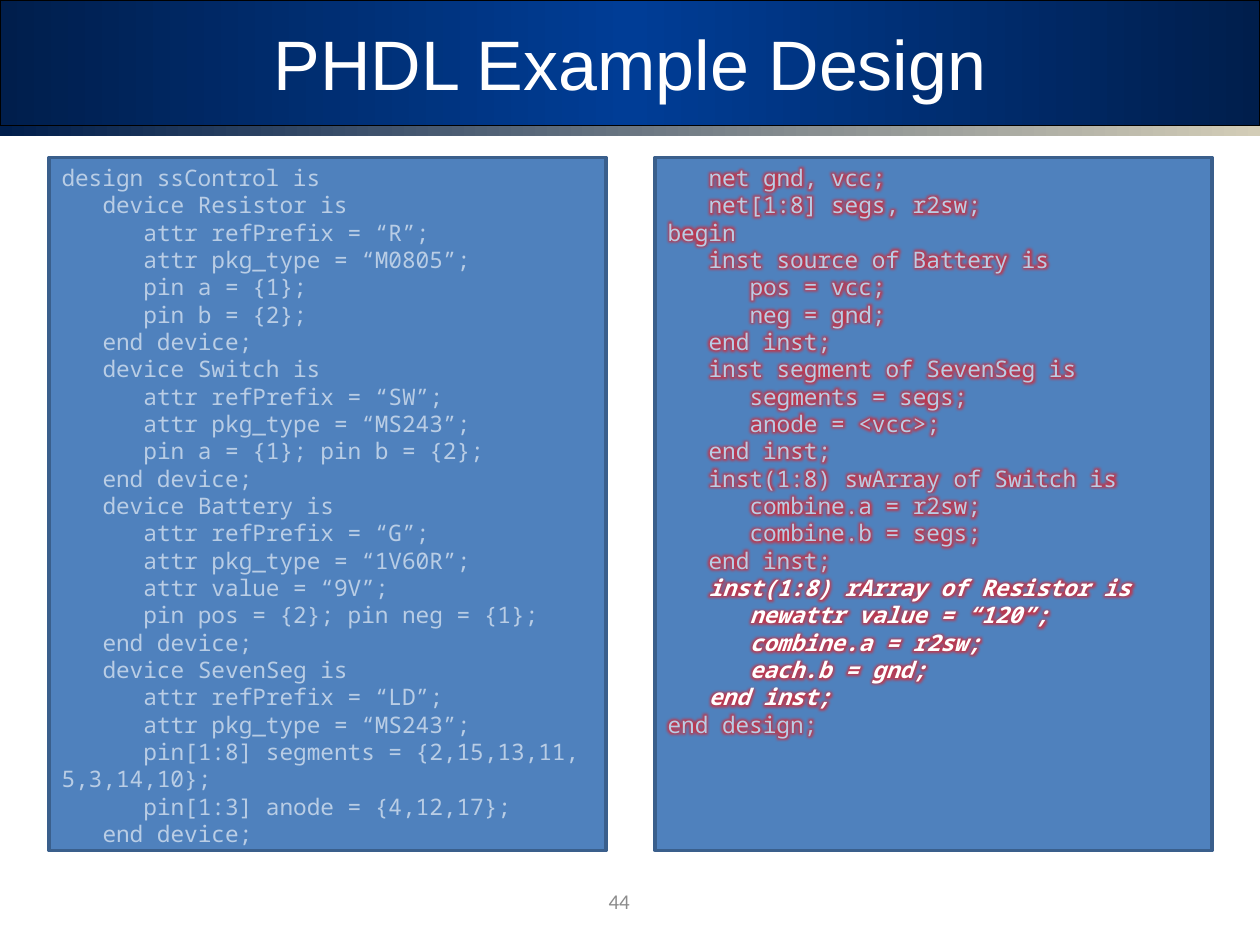
from lxml.etree import SubElement as Sub
from pptx import Presentation
from pptx.dml.color import RGBColor
from pptx.enum.shapes import MSO_SHAPE as Shape
from pptx.enum.text import MSO_ANCHOR as Anchor, PP_ALIGN as Align
from pptx.oxml.ns import qn
from pptx.util import Inches, Pt

W, H = 10, 7.5
CODE_FONT, CODE_SIZE = "Noto Sans Mono", 13
CODE_COLOR, WHITE = "B9CDE5", "FFFFFF"
TAB = 3
INDENT = Pt(TAB * CODE_SIZE * 0.6)
HIGHLIGHT = range(15, 20)

DEVICES = """\
design ssControl is
   device Resistor is
      attr refPrefix = “R”;
      attr pkg_type = “M0805”;
      pin a = {1};
      pin b = {2};
   end device;
   device Switch is
      attr refPrefix = “SW”;
      attr pkg_type = “MS243”;
      pin a = {1}; pin b = {2};
   end device;
   device Battery is
      attr refPrefix = “G”;
      attr pkg_type = “1V60R”;
      attr value = “9V”;
      pin pos = {2}; pin neg = {1};
   end device;
   device SevenSeg is
      attr refPrefix = “LD”;
      attr pkg_type = “MS243”;
      pin[1:8] segments = {2,15,13,11, 5,3,14,10};
      pin[1:3] anode = {4,12,17};
   end device;"""

INSTANCES = """\
   net gnd, vcc;
   net[1:8] segs, r2sw;
begin
   inst source of Battery is
      pos = vcc;
      neg = gnd;
   end inst;
   inst segment of SevenSeg is
      segments = segs;
      anode = <vcc>;
   end inst;
   inst(1:8) swArray of Switch is
      combine.a = r2sw;
      combine.b = segs;
   end inst;
   inst(1:8) rArray of Resistor is
      newattr value = “120”;
      combine.a = r2sw;
      each.b = gnd;
   end inst;
end design;"""


def rgb(value):
    """Turn a hex string into a colour."""
    return RGBColor.from_string(value)


def box(slide, kind, x, y, w, h, line=None, width=0):
    """Add a shadowless preset shape with an optional outline."""
    sp = slide.shapes.add_shape(kind, Inches(x), Inches(y), Inches(w), Inches(h))
    sp.shadow.inherit = False
    if line:
        sp.line.color.rgb = rgb(line)
        sp.line.width = Pt(width)
    else:
        sp.line.fill.background()
    return sp


def gradient(sp, *colors):
    """Fill a shape with evenly spaced colours from left to right."""
    sp.fill.gradient()
    sp.fill.gradient_angle = 0
    stops = sp.fill._fill._gradFill.find(qn("a:gsLst"))
    stops.clear()
    for i, color in enumerate(colors):
        gs = Sub(stops, qn("a:gs"), pos=str(100000 * i // (len(colors) - 1)))
        Sub(gs, qn("a:srgbClr"), val=color)


def style(r, font, size, color):
    """Set the font, size and colour of a run."""
    r.font.name, r.font.size = font, Pt(size)
    r.font.color.rgb = rgb(color)


def glow(r, color, radius, alpha):
    """Put a translucent glow around the letters of a run."""
    rPr = r.font._element
    effects = Sub(rPr, qn("a:effectLst"))
    rPr.find(qn("a:solidFill")).addnext(effects)
    halo = Sub(effects, qn("a:glow"), rad=str(Pt(radius)))
    clr = Sub(halo, qn("a:srgbClr"), val=color)
    Sub(clr, qn("a:alpha"), val=str(alpha * 1000))


def label(slide, text, x, y, w, h, font, size, color):
    """Add one centred line of text."""
    sp = slide.shapes.add_textbox(Inches(x), Inches(y), Inches(w), Inches(h))
    tf = sp.text_frame
    tf.word_wrap, tf.vertical_anchor = True, Anchor.MIDDLE
    tf.text = text
    p = tf.paragraphs[0]
    p.alignment = Align.CENTER
    style(p.runs[0], font, size, color)


def code_panel(slide, x, code, highlight=(), glowing=False):
    """Add a panel of code, indented by depth, with highlighted lines."""
    sp = box(slide, Shape.RECTANGLE, x, H / 6, 4.42, 5.5, "3A5F8C", 2)
    sp.fill.solid()
    sp.fill.fore_color.rgb = rgb("4F81BD")
    tf = sp.text_frame
    tf.word_wrap, tf.vertical_anchor = True, Anchor.TOP
    lines = code.splitlines()
    tf.text = "\n".join(line.strip() for line in lines)
    for i, (p, line) in enumerate(zip(tf.paragraphs, lines)):
        depth = (len(line) - len(line.lstrip())) // TAB
        p.alignment = Align.LEFT
        pPr = p._p.get_or_add_pPr()
        pPr.set("marL", "0")
        pPr.set("indent", str(depth * INDENT))
        r = p.runs[0]
        marked = i in highlight
        style(r, CODE_FONT, CODE_SIZE, WHITE if marked else CODE_COLOR)
        r.font.bold = r.font.italic = marked
        if glowing:
            glow(r, "FF0A0A", 8, 60)


def header(slide, title):
    """Draw the title band with its thin rule."""
    band = box(slide, Shape.RECTANGLE, 0, 0, W, 1, "000000", 0.75)
    gradient(band, "001E4C", "003D96", "001E4C")
    rule = box(slide, Shape.ROUNDED_RECTANGLE, 0, 1, W, 0.08)
    rule.adjustments[0] = 0.02
    gradient(rule, "001E4C", "D3CDB7")
    label(slide, title, 0.05 * W, 0, 0.9 * W, 1, "Arial", 40, WHITE)


def main():
    """Build the slide and save it."""
    prs = Presentation()
    prs.slide_width, prs.slide_height = Inches(W), Inches(H)
    slide = prs.slides.add_slide(prs.slide_layouts[6])
    header(slide, "PHDL Example Design")
    label(slide, "44", 3.75, 6.95, 2.33, 0.4, "Calibri", 12, "8C8C8C")
    code_panel(slide, 0.39, DEVICES)
    code_panel(slide, 5.2, INSTANCES, HIGHLIGHT, glowing=True)
    prs.save("out.pptx")


if __name__ == "__main__":
    main()
